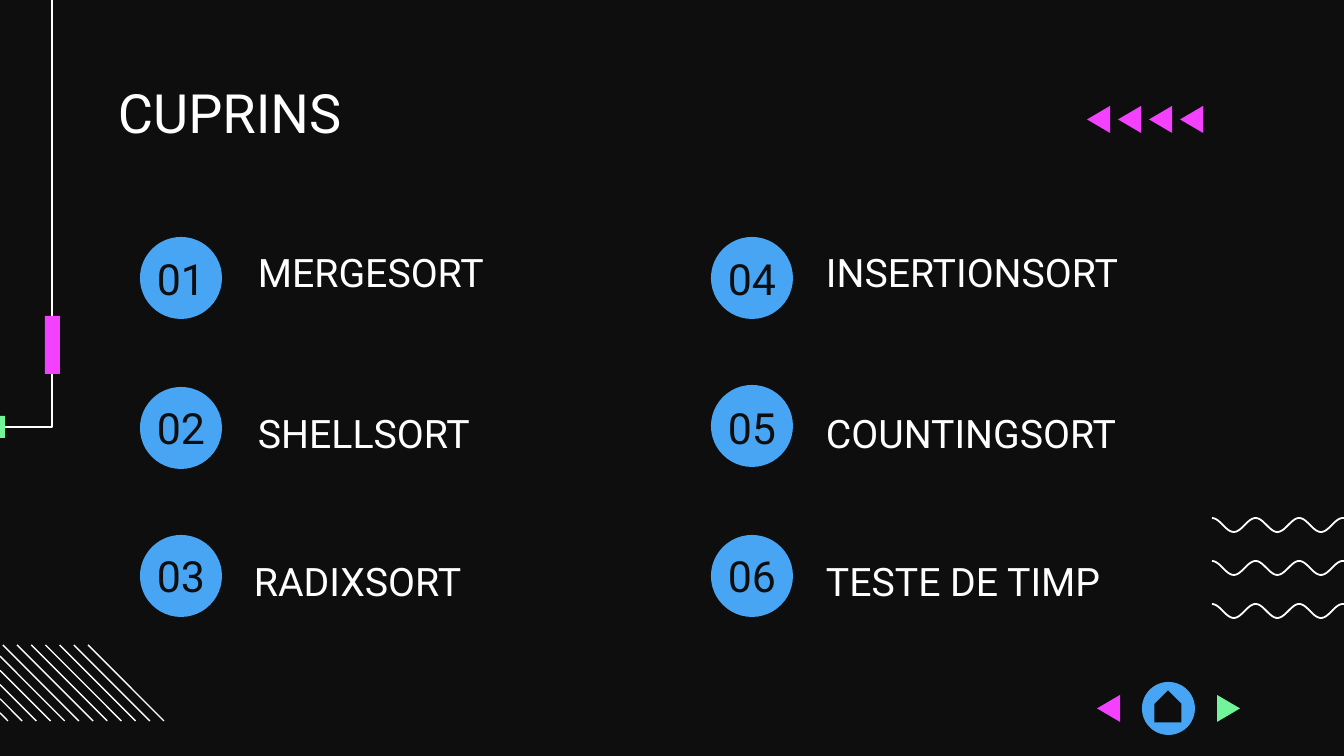
import math
import pptx
import pptx.util
import pptx.dml.color
import pptx.enum.shapes
import pptx.enum.text
import pptx.oxml.ns
import lxml.etree

# Content: number, name, name left, circle top
TITLE = "CUPRINS"
ITEMS = [
    [("01", "MERGESORT", 245, 237), ("02", "SHELLSORT", 245, 387),
     ("03", "RADIXSORT", 241, 535)],
    [("04", "INSERTIONSORT", 813, 237), ("05", "COUNTINGSORT", 813, 385),
     ("06", "TESTE DE TIMP", 813, 535)],
]

# Layout in px
WIDE, HIGH = 1344, 756
COLS = [140, 711]
ROWS = [(226, 241), (375, 402), (523, 550)]  # number top, name top
DISC = 82
WAVES = [518, 561, 604]
FONT = "Roboto"
DARK, WHITE, BLUE = "0E0E0E", "FFFFFF", "47A5F3"
PINK, GREEN = "F341FF", "72F49A"
KIND = pptx.enum.shapes.MSO_SHAPE
ALIGN = pptx.enum.text.PP_ALIGN


def px(n):
    return round(n * 914400 / 134.4)


def rgb(code):
    return pptx.dml.color.RGBColor.from_string(code)


def paint(part, code):
    part.shadow.inherit = False
    part.fill.solid()
    part.fill.fore_color.rgb = rgb(code)
    part.line.fill.background()


def stroke(line, points):
    line.color.rgb = rgb(WHITE)
    line.width = pptx.util.Pt(points)


def shape(kind, box, code):
    part = slide.shapes.add_shape(kind, *map(px, box))
    paint(part, code)
    return part


def outline(dots, close):
    dots = [(px(x), px(y)) for x, y in dots]
    pen = slide.shapes.build_freeform(*dots[0], scale=1.0)
    pen.add_line_segments(dots[1:], close=close)
    return pen.convert_to_shape()


def curve(dots, points):
    part = outline(dots, False)
    part.shadow.inherit = False
    part.fill.background()
    stroke(part.line, points)


def arrow(x, y, code, right=False):
    tip, base = (x + 23, x) if right else (x, x + 23)
    paint(outline([(base, y), (tip, y + 13.5), (base, y + 27)], True), code)


def write(part, box, text, size, code, top=0, align=ALIGN.LEFT):
    part.left, part.top, part.width, part.height = map(px, box)
    frame = part.text_frame
    frame.word_wrap = True
    frame.auto_size = pptx.enum.text.MSO_AUTO_SIZE.NONE
    frame.vertical_anchor = pptx.enum.text.MSO_ANCHOR.TOP
    frame.margin_left = frame.margin_right = frame.margin_bottom = px(13)
    frame.margin_top = px(top)
    para = frame.paragraphs[0]
    para.alignment = align
    run = para.add_run()
    run.text = text
    run.font.name = FONT
    run.font.size = pptx.util.Pt(size)
    run.font.color.rgb = rgb(code)
    return para


deck = pptx.Presentation()
deck.slide_width, deck.slide_height = px(WIDE), px(HIGH)
slide = deck.slides.add_slide(deck.slide_layouts[5])
slide.background.fill.solid()
slide.background.fill.fore_color.rgb = rgb(DARK)

# Waves at the right edge
for top in WAVES:
    curve([(x, top + 7 - 7 * math.cos((x - 1212) * math.tau / 43.6))
           for x in range(1212, WIDE + 1, 2)], 0.95)

# Slanted lines, cut at the left edge
for i in range(12):
    end = 8 + i * (164 - 8) / 11
    start = max(0, end - 76)
    line = slide.shapes.add_connector(
        pptx.enum.shapes.MSO_CONNECTOR.STRAIGHT,
        *map(px, (start, 721 - end + start, end, 721)))
    stroke(line.line, 0.75)
    lxml.etree.SubElement(line._element.spPr, pptx.oxml.ns.qn("a:effectLst"))

# Corner frame and its blocks
curve([(0, 427), (52, 427), (52, 0)], 0.75)
shape(KIND.RECTANGLE, (0, 416, 5, 22), GREEN)
shape(KIND.RECTANGLE, (45, 316, 15, 58), PINK)

# Title
write(slide.shapes.title, (105, 79, 1134, 62), TITLE, 29, WHITE)

# Contents
for left, group in zip(COLS, ITEMS):
    for (high, low), (mark, name, x, top) in zip(ROWS, group):
        shape(KIND.OVAL, (left, top, DISC, DISC), BLUE)
        box = (left - 20, high, DISC + 40, DISC)
        text = slide.shapes.add_textbox(0, 0, 0, 0)
        write(text, box, mark, 23, DARK, 27, ALIGN.CENTER)
        text = slide.shapes.add_textbox(0, 0, 0, 0)
        para = write(text, (x, low, 425, 52), name, 21, WHITE)
        para.line_spacing = 1.15
        para.space_after = pptx.util.Pt(12)

# Arrow row
for i in range(4):
    arrow(1087 + 31 * i, 106, PINK)

# Navigation
shape(KIND.OVAL, (1142, 682, 53, 53), BLUE)
home = shape(KIND.PENTAGON, (1152, 693, 32, 27), DARK)
home.rotation = 270
arrow(1097, 695, PINK)
arrow(1217, 695, GREEN, True)

deck.save("out.pptx")
